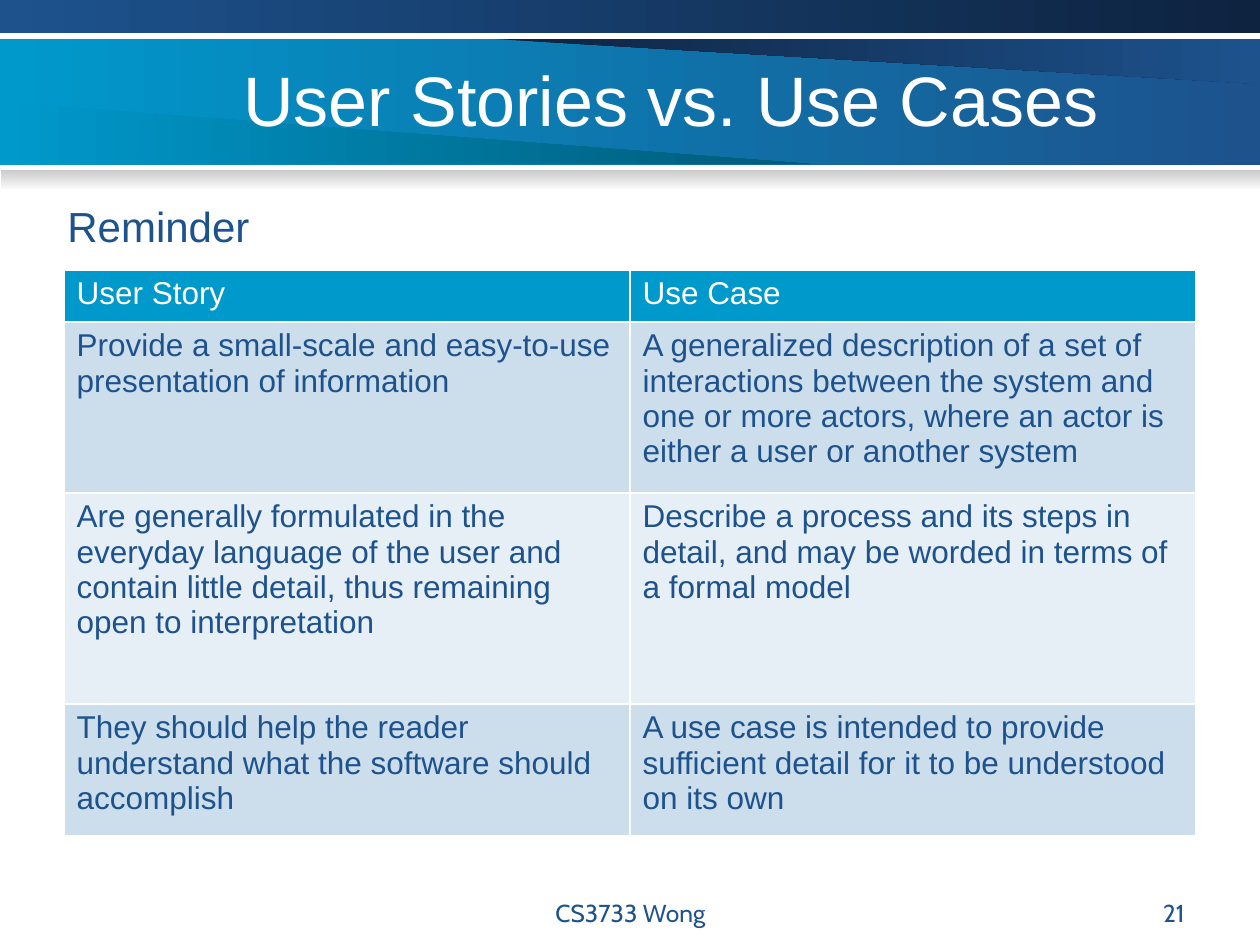
from pptx import Presentation
from pptx.dml.color import RGBColor as Rgb
from pptx.enum.text import MSO_ANCHOR as Anchor, PP_ALIGN as Align
from pptx.enum.shapes import MSO_SHAPE as Shape
from pptx.oxml.ns import qn
from pptx.util import Pt
from lxml.etree import SubElement as Sub

EMU = 914400 // 126  # one pixel
WHITE = Rgb(0xFF, 0xFF, 0xFF)
CYAN = Rgb(0x00, 0x99, 0xCC)
TEAL = Rgb(0x00, 0x5A, 0x78)
BLUE = Rgb(0x1D, 0x52, 0x8D)
NAVY = Rgb(0x0E, 0x23, 0x40)
GREY = Rgb(0xCA, 0xCA, 0xCA)
PALE = Rgb(0xCC, 0xDE, 0xEC)
MIST = Rgb(0xE7, 0xEF, 0xF6)


def write(frame, text, size=18, font="Arial", color=BLUE,
          align=Align.LEFT, anchor=Anchor.TOP):
    frame.word_wrap = True
    frame.vertical_anchor = anchor
    para = frame.paragraphs[0]
    para.alignment = align
    run = para.add_run()
    run.text = text
    run.font.size = Pt(size)
    run.font.name = font
    run.font.color.rgb = color


class Deck:
    def __init__(self, wide, high):
        self.prs = Presentation()
        self.prs.slide_width, self.prs.slide_height = wide * EMU, high * EMU
        self.slide = self.prs.slides.add_slide(self.prs.slide_layouts[6])
        self.shapes = self.slide.shapes

    def shade(self, shape, start, end, angle):
        shape.shadow.inherit = False
        shape.line.fill.background()
        shape.fill.gradient()
        shape.fill.gradient_angle = angle
        for stop, color in zip(shape.fill.gradient_stops, (start, end)):
            stop.color.rgb = color

    def bar(self, box, start, end, angle=0):
        shape = self.shapes.add_shape(Shape.RECTANGLE, *[v * EMU for v in box])
        self.shade(shape, start, end, angle)

    def wedge(self, points, start, end, angle=0):
        pen = self.shapes.build_freeform(*points[0], scale=EMU)
        pen.add_line_segments(points[1:], close=True)
        self.shade(pen.convert_to_shape(), start, end, angle)

    def text(self, box, text, **style):
        shape = self.shapes.add_textbox(*[v * EMU for v in box])
        write(shape.text_frame, text, **style)

    def edge(self, cell):
        props = cell._tc.get_or_add_tcPr()
        for spot, side in enumerate(("lnL", "lnR", "lnT", "lnB")):
            line = Sub(props, qn("a:" + side), w=str(Pt(1)))
            fill = Sub(line, qn("a:solidFill"))
            Sub(fill, qn("a:srgbClr"), val=str(WHITE))
            props.insert(spot, line)

    def table(self, left, top, cols, highs, rows):
        grid = self.shapes.add_table(
            len(rows), len(cols), left * EMU, top * EMU,
            sum(cols) * EMU, sum(highs) * EMU).table
        for col, wide in zip(grid.columns, cols):
            col.width = wide * EMU
        for r, (row, high) in enumerate(zip(rows, highs)):
            grid.rows[r].height = high * EMU
            back = (PALE if r % 2 else MIST) if r else CYAN
            for c, text in enumerate(row):
                cell = grid.cell(r, c)
                cell.fill.solid()
                cell.fill.fore_color.rgb = back
                write(cell.text_frame, text, color=BLUE if r else WHITE)
                self.edge(cell)


deck = Deck(1260, 945)

# Header band
deck.bar((0, 39, 1260, 126), CYAN, BLUE)
deck.wedge([(495, 39), (1260, 84), (1260, 39)], NAVY, BLUE)
deck.wedge([(0, 102), (810, 164), (0, 164)], CYAN, TEAL)
deck.bar((0, 0, 1260, 33), BLUE, NAVY)
deck.bar((1, 170, 1259, 21), GREY, WHITE, angle=270)
deck.text((231, 38, 914, 120), "User Stories vs. Use Cases",
          size=40, color=WHITE, anchor=Anchor.MIDDLE)

# Comparison
deck.text((55, 194, 668, 63), "Reminder", size=24)
deck.table(64, 270, [566, 566], [52, 171, 211, 132], [
    ("User Story", "Use Case"),
    ("Provide a small-scale and easy-to-use presentation of information",
     "A generalized description of a set of interactions between the system "
     "and one or more actors, where an actor is either a user or another "
     "system"),
    ("Are generally formulated in the everyday language of the user and "
     "contain little detail, thus remaining open to interpretation",
     "Describe a process and its steps in detail, and may be worded in terms "
     "of a formal model"),
    ("They should help the reader understand what the software should "
     "accomplish",
     "A use case is intended to provide sufficient detail for it to be "
     "understood on its own"),
])

# Footer
foot = dict(size=14, font="Cabin")
deck.text((431, 892, 399, 34), "CS3733 Wong", align=Align.CENTER, **foot)
deck.text((903, 892, 294, 34), "21", align=Align.RIGHT, **foot)

deck.prs.save("out.pptx")
